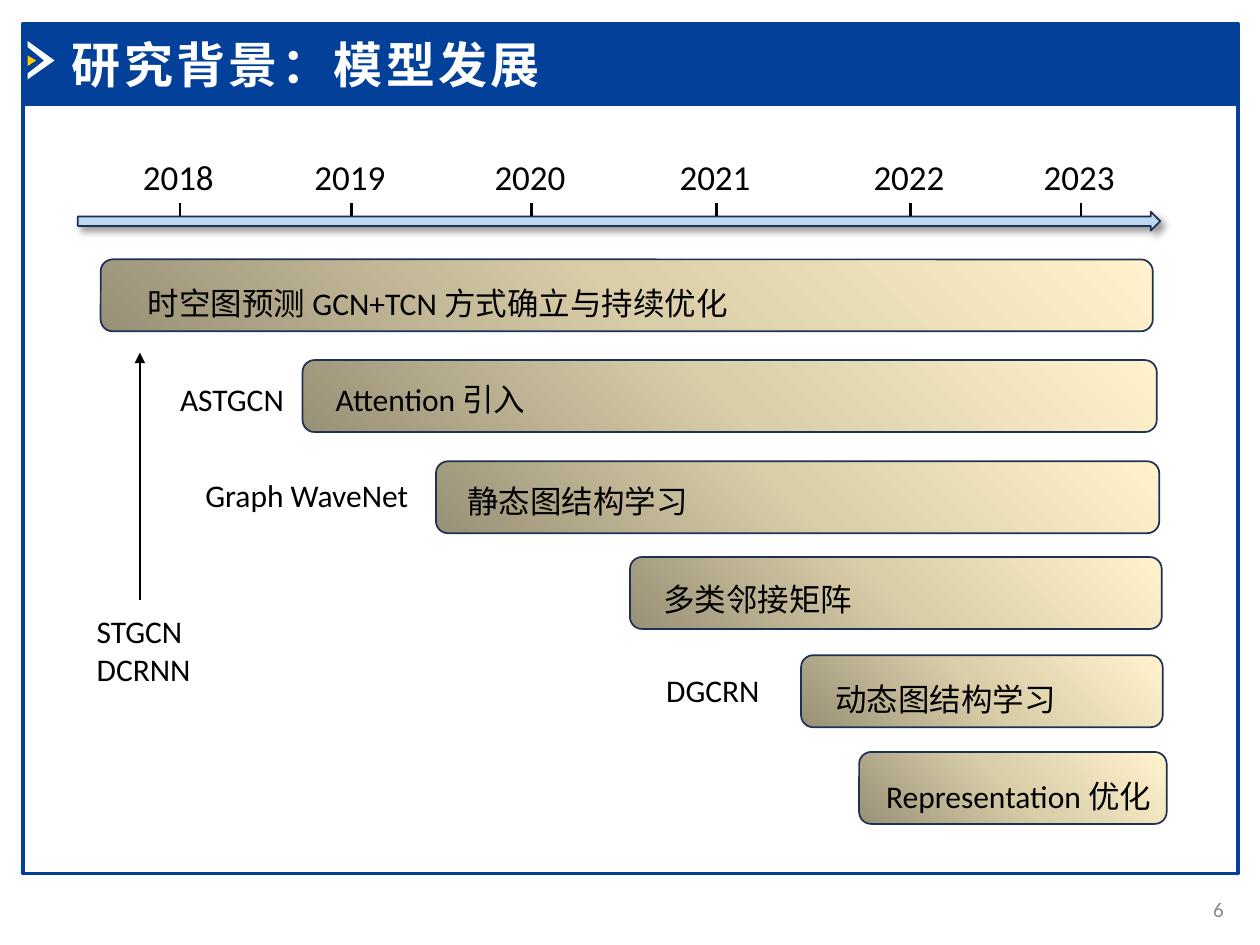
from lxml import etree
from pptx import Presentation
from pptx.dml.color import RGBColor
from pptx.enum.shapes import MSO_CONNECTOR, MSO_SHAPE
from pptx.enum.text import MSO_ANCHOR, PP_ALIGN
from pptx.oxml import parse_xml
from pptx.oxml.ns import nsdecls, qn
from pptx.util import Cm, Pt

STRAIGHT = MSO_CONNECTOR.STRAIGHT
RECTANGLE, ROUNDED, RIGHT_ARROW = MSO_SHAPE.RECTANGLE, MSO_SHAPE.ROUNDED_RECTANGLE, MSO_SHAPE.RIGHT_ARROW
TOP, MIDDLE = MSO_ANCHOR.TOP, MSO_ANCHOR.MIDDLE
LEFT, CENTER, RIGHT = PP_ALIGN.LEFT, PP_ALIGN.CENTER, PP_ALIGN.RIGHT

FONT = "Calibri"
BLUE, NAVY, SKY = "02409A", "1E3256", "BDD7EE"
WHITE, BLACK, GREY, YELLOW = "FFFFFF", "000000", "8C8C8C", "FFCC00"
BAR_GRADIENT = [(0, "999177"), (50, "DACEA9"), (100, "FFF2CC")]

TITLE = "研究背景：模型发展"
PAGE = "6"
YEARS = [("2018", 3.63), ("2019", 7.09), ("2020", 10.72),
         ("2021", 14.45), ("2022", 18.36), ("2023", 21.79)]
STAGES = [
    {"text": "时空图预测 GCN+TCN 方式确立与持续优化", "bar": (2.03, 5.23, 21.21), "label": (1.19, 5.23, 15.27)},
    {"text": "Attention 引入", "bar": (6.1, 7.26, 17.22), "label": (6.1, 7.16, 5.16)},
    {"text": "静态图结构学习", "bar": (8.79, 9.3, 14.58), "label": (8.33, 9.22, 6.63)},
    {"text": "多类邻接矩阵", "bar": (12.7, 11.23, 10.72), "label": (11.96, 11.18, 6.63)},
    {"text": "动态图结构学习", "bar": (16.15, 13.21, 7.29), "label": (15.75, 13.21, 6.63)},
    {"text": "Representation 优化", "bar": (17.32, 15.16, 6.2), "label": (17.22, 15.16, 6.63)},
]
MODELS = [
    (["ASTGCN"], (3.38, 7.54, 3.38, 1.02)),
    (["Graph WaveNet"], (3.89, 9.47, 5.16, 1.02)),
    (["STGCN", "DCRNN"], (1.7, 12.22, 3.18, 1.8)),
    (["DGCRN"], (13.18, 13.41, 5.51, 1.02)),
]
CHEVRONS = [
    (WHITE, [(0.56, 0.83), (1.1, 1.22), (0.56, 1.6), (0.56, 1.48), (0.89, 1.22), (0.56, 0.95)]),
    (YELLOW, [(0.56, 1.12), (0.73, 1.22), (0.56, 1.33)]),
]
BAR_HEIGHT, LABEL_HEIGHT = 1.45, 1.3
YEAR_OFFSET, YEAR_TOP, YEAR_WIDTH, YEAR_HEIGHT = 1, 3.02, 2.4, 1.12
TICK_TOP, TICK_BOTTOM = 4.1, 4.35


def rgb(color):
    return RGBColor.from_string(color)


def paint(shape, fill=None, line=None, weight=1):
    shape.shadow.inherit = False
    if fill:
        shape.fill.solid()
        shape.fill.fore_color.rgb = rgb(fill)
    else:
        shape.fill.background()
    if line:
        shape.line.color.rgb = rgb(line)
        shape.line.width = Pt(weight)
    else:
        shape.line.fill.background()


def add_box(slide, preset, box, fill=None, line=None, weight=1):
    shape = slide.shapes.add_shape(preset, *map(Cm, box))
    paint(shape, fill, line, weight)
    return shape


def write(frame, lines, size, color=BLACK, align=LEFT, anchor=TOP, spacing=None):
    frame.word_wrap = True
    frame.vertical_anchor = anchor
    for index, line in enumerate(lines):
        paragraph = frame.add_paragraph() if index else frame.paragraphs[0]
        paragraph.alignment = align
        paragraph.line_spacing = spacing
        run = paragraph.add_run()
        run.text = line
        run.font.size = Pt(size)
        run.font.name = FONT
        run.font.color.rgb = rgb(color)


def add_text(slide, box, lines, size, **style):
    write(slide.shapes.add_textbox(*map(Cm, box)).text_frame, lines, size, **style)


def add_line(slide, start, end, weight):
    line = slide.shapes.add_connector(STRAIGHT, *map(Cm, start + end))
    line.line.color.rgb = rgb(BLACK)
    line.line.width = Pt(weight)
    etree.SubElement(line._element.spPr, qn("a:effectLst"))
    return line


def add_gradient(shape):
    stops = "".join(f'<a:gs pos="{position * 1000}"><a:srgbClr val="{color}"/></a:gs>'
                    for position, color in BAR_GRADIENT)
    properties = shape._element.spPr
    properties.replace(properties.find(qn("a:noFill")), parse_xml(
        f'<a:gradFill {nsdecls("a")} rotWithShape="1"><a:gsLst>{stops}</a:gsLst>'
        '<a:path path="circle"><a:fillToRect t="100000" r="100000"/></a:path></a:gradFill>'))


def add_header(slide):
    add_box(slide, RECTANGLE, (0.46, 2.11, 24.5, 15.5), line=BLUE, weight=2)
    add_box(slide, RECTANGLE, (0.46, 0.48, 24.5, 1.63), BLUE, BLUE, 2)
    for color, points in CHEVRONS:
        corners = [(Cm(x), Cm(y)) for x, y in points]
        outline = slide.shapes.build_freeform(*corners[0])
        outline.add_line_segments(corners[1:])
        paint(outline.convert_to_shape(), color)
    title = slide.shapes.title
    title.left, title.top, title.width, title.height = map(Cm, (1.19, 0.56, 18.59, 1.45))
    write(title.text_frame, [TITLE], 28, color=WHITE, anchor=MIDDLE)
    run = title.text_frame.paragraphs[0].runs[0]
    run.font.bold = True
    run._r.get_or_add_rPr().set("spc", "200")
    slide.shapes._spTree.append(title._element)
    add_text(slide, (23.42, 17.81, 1.5, 1.02), [PAGE], 12, color=GREY, align=RIGHT, anchor=MIDDLE)


def add_timeline(slide):
    axis = add_box(slide, RIGHT_ARROW, (1.57, 4.27, 21.82, 0.38), SKY, NAVY)
    axis._element.spPr.find(qn("a:effectLst")).append(parse_xml(
        f'<a:outerShdw {nsdecls("a")} blurRad="50800" dist="38100" dir="2700000" algn="tl">'
        f'<a:srgbClr val="{BLACK}"><a:alpha val="40000"/></a:srgbClr></a:outerShdw>'))
    for year, x in YEARS:
        add_text(slide, (x - YEAR_OFFSET, YEAR_TOP, YEAR_WIDTH, YEAR_HEIGHT), [year], 20)
        add_line(slide, (x, TICK_TOP), (x, TICK_BOTTOM), 1.5)


def add_stages(slide):
    for stage in STAGES:
        add_gradient(add_box(slide, ROUNDED, (*stage["bar"], BAR_HEIGHT), line=NAVY))
        add_text(slide, (*stage["label"], LABEL_HEIGHT), [stage["text"]], 18, align=CENTER, spacing=1.5)
    for names, box in MODELS:
        add_text(slide, box, names, 18)
    pointer = add_line(slide, (2.82, 12.09), (2.82, 7.11), 1)
    etree.SubElement(pointer.line._get_or_add_ln(), qn("a:tailEnd"), type="triangle")


def main():
    deck = Presentation()
    deck.slide_width, deck.slide_height = Cm(25.4), Cm(19.05)
    slide = deck.slides.add_slide(deck.slide_layouts[5])
    add_header(slide)
    add_timeline(slide)
    add_stages(slide)
    deck.save("out.pptx")


if __name__ == "__main__":
    main()
